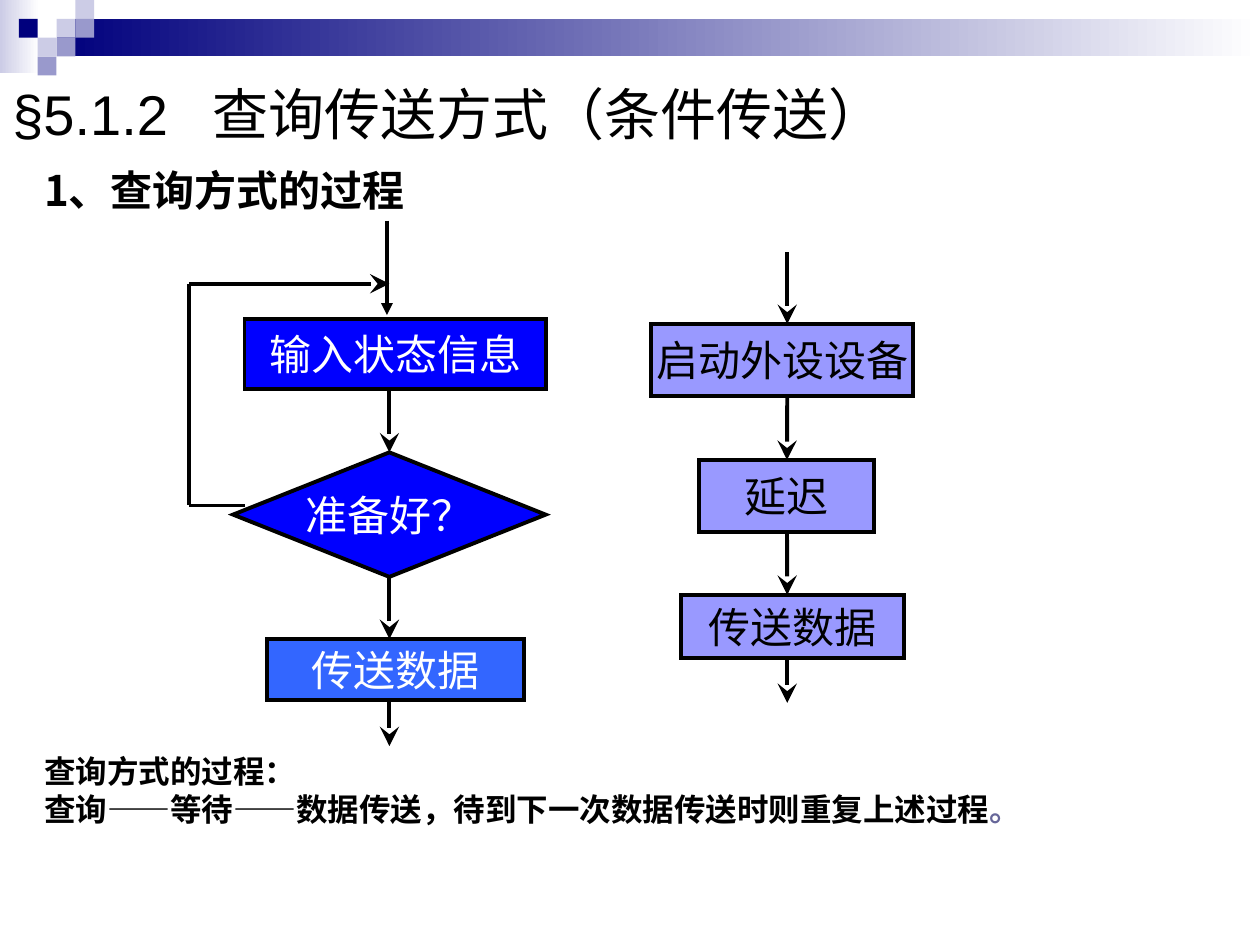
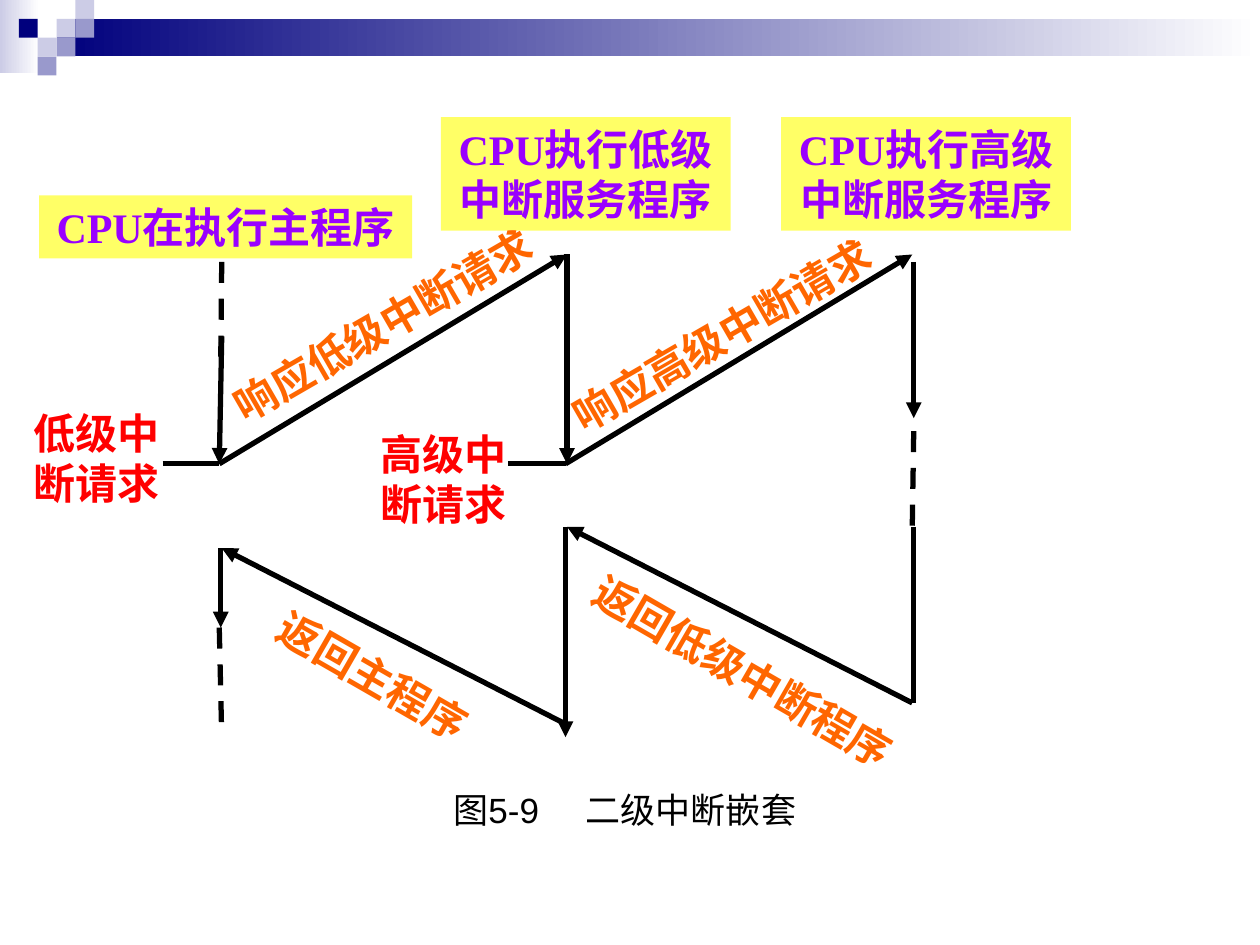
from dataclasses import dataclass

from lxml import etree
from pptx import Presentation
from pptx.dml.color import RGBColor
from pptx.enum.dml import MSO_LINE
from pptx.enum.shapes import MSO_CONNECTOR, MSO_SHAPE
from pptx.enum.text import MSO_ANCHOR, PP_ALIGN
from pptx.oxml.ns import qn
from pptx.util import Cm, Pt

RECT, DIAMOND = MSO_SHAPE.RECTANGLE, MSO_SHAPE.DIAMOND
STRAIGHT, DASH = MSO_CONNECTOR.STRAIGHT, MSO_LINE.DASH
TOP, MIDDLE = MSO_ANCHOR.TOP, MSO_ANCHOR.MIDDLE
LEFT, CENTER = PP_ALIGN.LEFT, PP_ALIGN.CENTER

ARIAL, TIMES, HAN = "Arial", "Times New Roman", "Noto Sans CJK SC"
BLACK, WHITE, NAVY = "000000", "FFFFFF", "00007D"
PALE, MID = "CCCCE6", "9999CC"
BLUE, SKY, LILAC = "0000FF", "3366FF", "9999FF"
YELLOW, PURPLE, RED, ORANGE = "FFFF66", "9900FF", "FF0000", "FF6600"
HEADS = {"stealth": "lg", "triangle": "med"}
TILE = 0.38
NEAR = 0.03


@dataclass
class Box:
    x: float
    y: float
    w: float
    h: float
    text: str = ""
    fill: str = ""
    ink: str = BLACK
    edge: float = 0
    form: int = RECT
    turn: float = 0
    bold: bool = False

    def sides(self):
        mid_x, mid_y = self.x + self.w / 2, self.y + self.h / 2
        return [(mid_x, self.y), (self.x, mid_y),
                (mid_x, self.y + self.h), (self.x + self.w, mid_y)]


@dataclass
class Link:
    x1: float
    y1: float
    x2: float
    y2: float
    head: str = ""
    dash: bool = False


@dataclass
class Tile:
    col: int
    row: int
    fill: str


TILES = [Tile(3, 1, PALE), Tile(4, 0, PALE), Tile(4, 1, MID), Tile(2, 2, PALE),
         Tile(1, 1, NAVY), Tile(3, 2, MID), Tile(2, 3, MID)]


def paint(code: str) -> RGBColor:
    return RGBColor.from_string(code)


def write(frame, text: str, size=24, font=TIMES, ink=BLACK, bold=False,
          align=LEFT, anchor=TOP, wrap=True, tab=0.0, end="", end_ink=BLACK):
    frame.word_wrap = wrap
    frame.vertical_anchor = anchor
    for num, line in enumerate(text.split("\n")):
        para = frame.add_paragraph() if num else frame.paragraphs[0]
        para.alignment = align
        para.add_run().text = line
        if tab:
            stops = etree.SubElement(para._p.get_or_add_pPr(), qn("a:tabLst"))
            etree.SubElement(stops, qn("a:tab"), pos=str(Cm(tab)), algn="l")
    if end:
        para.add_run().text = end
    for para in frame.paragraphs:
        for run in para.runs:
            run.font.size = Pt(size)
            run.font.name = font
            run.font.bold = bold
            run.font.color.rgb = paint(ink)
            etree.SubElement(run._r.get_or_add_rPr(), qn("a:ea"), typeface=HAN)
    if end:
        para.runs[-1].font.color.rgb = paint(end_ink)


def add_text(slide, x: float, y: float, w: float, h: float, text: str, **form):
    area = slide.shapes.add_textbox(Cm(x), Cm(y), Cm(w), Cm(h))
    write(area.text_frame, text, **form)


def add_box(slide, box: Box):
    place = Cm(box.x), Cm(box.y), Cm(box.w), Cm(box.h)
    if box.fill:
        shape = slide.shapes.add_shape(box.form, *place)
        shape.shadow.inherit = False
        shape.fill.solid()
        shape.fill.fore_color.rgb = paint(box.fill)
        if box.edge:
            shape.line.color.rgb = paint(BLACK)
            shape.line.width = Pt(box.edge)
            etree.SubElement(shape.line._get_or_add_ln(), qn("a:miter"), lim="800000")
        else:
            shape.line.fill.background()
    else:
        shape = slide.shapes.add_textbox(*place)
    shape.rotation = box.turn
    if box.text:
        write(shape.text_frame, box.text, ink=box.ink, bold=box.bold,
              align=CENTER, anchor=MIDDLE, wrap=False)
    return shape


def add_link(slide, link: Link, width: float, joints):
    line = slide.shapes.add_connector(
        STRAIGHT, Cm(link.x1), Cm(link.y1), Cm(link.x2), Cm(link.y2))
    for box, shape in joints:
        for site, (x, y) in enumerate(box.sides()):
            if max(abs(x - link.x1), abs(y - link.y1)) < NEAR:
                line.begin_connect(shape, site)
            if max(abs(x - link.x2), abs(y - link.y2)) < NEAR:
                line.end_connect(shape, site)
    line.line.color.rgb = paint(BLACK)
    line.line.width = Pt(width)
    if link.dash:
        line.line.dash_style = DASH
    if link.head:
        size = HEADS[link.head]
        etree.SubElement(line.line._get_or_add_ln(), qn("a:tailEnd"),
                         type=link.head, w=size, len=size)
    etree.SubElement(line._element.spPr, qn("a:effectLst"))


def add_fade(slide, box: Box):
    band = add_box(slide, box)
    band.fill.gradient()
    band.fill.gradient_angle = 0
    for stop, code in zip(band.fill.gradient_stops, (box.fill, WHITE)):
        stop.color.rgb = paint(code)


def add_page(deck):
    slide = deck.slides.add_slide(deck.slide_layouts[6])
    add_fade(slide, Box(0, 0, 0.79, 1.47, fill=PALE))
    add_fade(slide, Box(3 * TILE, TILE, 24.26, 2 * TILE, fill=NAVY))
    for tile in TILES:
        add_box(slide, Box(tile.col * TILE, tile.row * TILE, TILE, TILE, fill=tile.fill))
    return slide


def draw(slide, boxes: list[Box], links: list[Link], width: float):
    joints = [(box, add_box(slide, box)) for box in boxes]
    for link in links:
        add_link(slide, link, width, joints)


def spine(x: float, spans) -> list[Link]:
    return [Link(x, top, x, end, "stealth") for top, end in spans]


def query_page(deck):
    slide = add_page(deck)
    add_text(slide, 0, 1.47, 24.77, 1.63, "§5.1.2\t查询传送方式（条件传送）",
             size=32, font=ARIAL, tab=4.04)
    add_text(slide, 0.64, 2.97, 22.86, 1.7, "1、查询方式的过程",
             font=HAN, bold=True, anchor=MIDDLE)
    boxes = [
        Box(4.93, 6.43, 6.07, 1.42, "输入状态信息", BLUE, WHITE, 2.25),
        Box(4.7, 9.12, 6.3, 2.51, "准备好？", BLUE, WHITE, 2.25, DIAMOND),
        Box(5.38, 12.88, 5.18, 1.24, "传送数据", SKY, WHITE, 2.25),
        Box(13.13, 6.53, 5.28, 1.45, "启动外设设备", LILAC, BLACK, 2.25),
        Box(14.1, 9.27, 3.53, 1.45, "延迟", LILAC, BLACK, 2.25),
        Box(13.72, 11.99, 4.5, 1.27, "传送数据", LILAC, BLACK, 2.25),
    ]
    links = [
        Link(3.81, 5.72, 7.85, 5.72, "stealth"),
        Link(3.81, 5.72, 3.81, 10.19),
        Link(3.81, 10.19, 4.93, 10.19),
        Link(7.8, 4.45, 7.8, 6.35, "triangle"),
        *spine(7.85, [(7.85, 9.12), (11.63, 12.88), (14.12, 15.04)]),
        *spine(15.87, [(5.08, 6.53), (7.98, 9.27), (10.72, 11.99), (13.26, 14.17)]),
    ]
    draw(slide, boxes, links, 2.25)
    add_text(slide, 0.64, 15.04, 24.77, 1.78,
             "查询方式的过程：\n查询——等待——数据传送，待到下一次数据传送时则重复上述过程",
             size=18, font=ARIAL, bold=True, end="。", end_ink="666699")


def nest_page(deck):
    slide = add_page(deck)
    add_text(slide, 8.89, 15.24, 7.82, 2.16, "图5-9\t二级中断嵌套",
             size=20, font=ARIAL, anchor=MIDDLE, tab=2.67)
    heads = [(0.79, 3.94, 7.52, 1.27, "CPU在执行主程序"),
             (8.89, 2.36, 5.84, 2.29, "CPU执行低级\n中断服务程序"),
             (15.75, 2.36, 5.84, 2.29, "CPU执行高级\n中断服务程序")]
    calls = [(0.43, 8.08, "低级中\n断请求"), (7.42, 8.51, "高级中\n断请求")]
    moves = [(3.97, 5.92, 7.5, "响应低级中断请求", 330),
             (10.8, 6.12, 7.5, "响应高级中断请求", 330),
             (11.23, 12.9, 7.5, "返回低级中断程序", 30),
             (5.02, 12.98, 5, "返回主程序", 30)]
    boxes = [Box(*head, fill=YELLOW, ink=PURPLE, bold=True) for head in heads]
    boxes += [Box(x, y, 3.05, 2.29, text, ink=RED, bold=True) for x, y, text in calls]
    boxes += [Box(x, y, w, 1.27, text, ink=ORANGE, turn=turn, bold=True)
              for x, y, w, text, turn in moves]
    arrows = [
        (4.47, 6.78, 4.42, 9.35), (4.42, 9.35, 11.43, 5.13),
        (11.43, 5.13, 11.43, 9.35), (11.4, 9.35, 18.39, 5.13),
        (18.42, 5.28, 18.42, 8.43), (18.39, 14.17, 11.43, 10.62),
        (11.4, 10.62, 11.4, 14.86), (11.43, 14.61, 4.47, 11.05),
        (4.45, 11.05, 4.45, 12.65),
    ]
    plain = [(3.28, 9.35, 4.42, 9.35), (10.24, 9.35, 11.4, 9.35),
             (18.42, 10.62, 18.42, 14.17)]
    dashes = [(18.42, 8.69, 18.39, 10.62), (4.42, 12.65, 4.47, 14.86),
              (4.47, 5.28, 4.45, 7.24)]
    links = [Link(*ends, head="triangle") for ends in arrows]
    links += [Link(*ends) for ends in plain]
    links += [Link(*ends, dash=True) for ends in dashes]
    draw(slide, boxes, links, 3)


def main():
    deck = Presentation()
    deck.slide_width, deck.slide_height = Cm(25.4), Cm(19.05)
    query_page(deck)
    nest_page(deck)
    deck.save("out.pptx")


if __name__ == "__main__":
    main()
